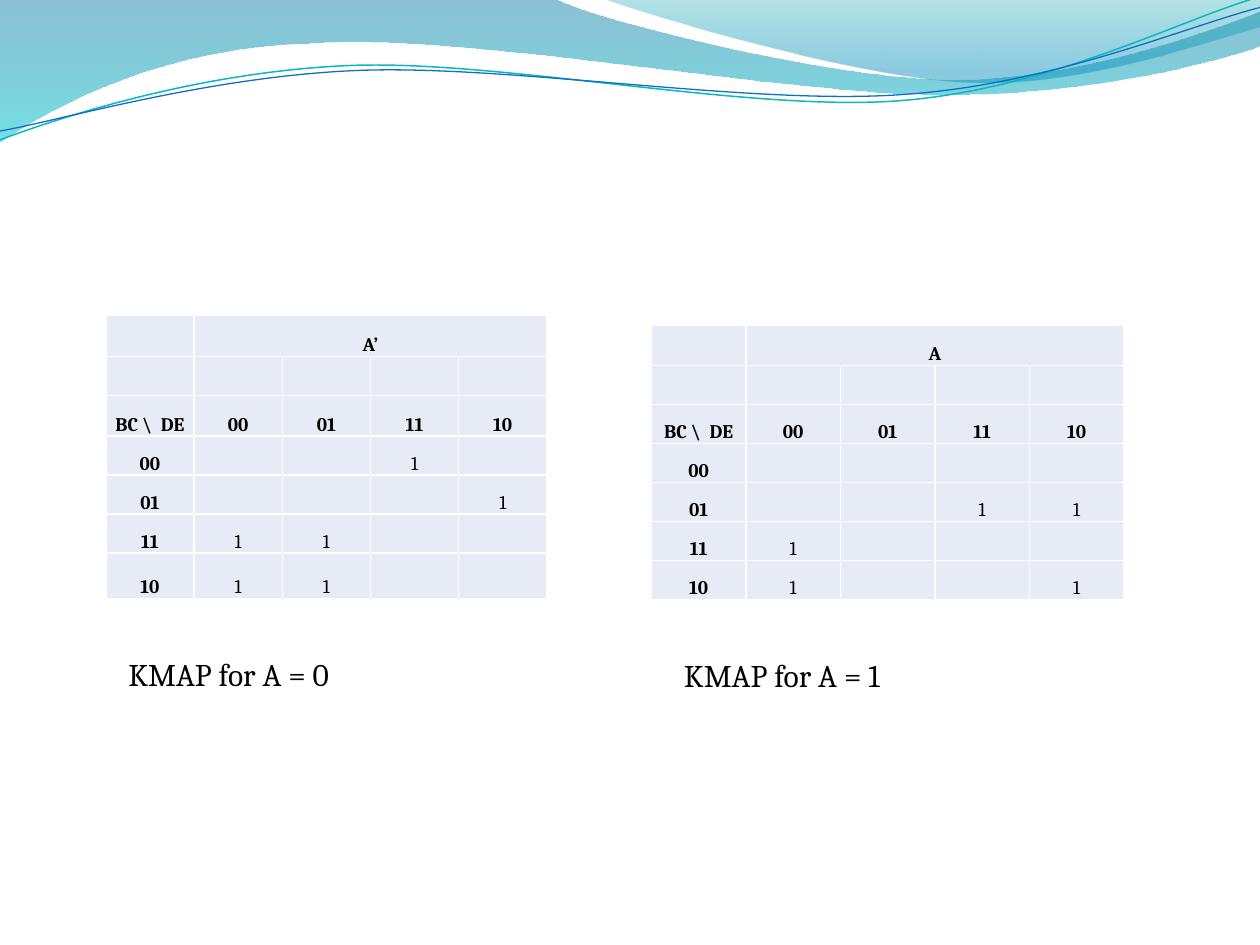
from dataclasses import dataclass
from math import cos, radians, sin
from typing import Optional

from lxml.etree import SubElement
from pptx import Presentation
from pptx.dml.color import RGBColor
from pptx.enum.text import MSO_ANCHOR as Anchor, MSO_AUTO_SIZE as AutoSize, PP_ALIGN as Align
from pptx.oxml import parse_xml
from pptx.oxml.ns import nsdecls, qn
from pptx.util import Inches, Pt

BLACK = RGBColor(0x00, 0x00, 0x00)
WHITE = RGBColor(0xFF, 0xFF, 0xFF)
CELL_FILL = RGBColor(0xE7, 0xEB, 0xF5)
TEAL_LINE = RGBColor(0x0A, 0xB8, 0xBF)
BLUE_LINE = RGBColor(0x0F, 0x6F, 0xC6)
DEEP_BLUE = RGBColor(0x00, 0x74, 0xA1)
CYAN = RGBColor(0x00, 0xC6, 0xCF)
TEAL = RGBColor(0x00, 0xA1, 0xA9)
SKY = RGBColor(0x00, 0x8B, 0xBF)

FONT = "Cambria"
GRAY_CODE = ("00", "01", "11", "10")
LINE_TILT = -2.7


@dataclass(frozen=True)
class Stop:
    position: int
    color: RGBColor
    opacity: int


@dataclass(frozen=True)
class Wave:
    start: tuple
    segments: tuple  # one point is a line, three points are a Bezier curve
    gradient: tuple = ()
    line: Optional[RGBColor] = None
    weight: float = 0
    center: tuple = (0, 0)
    tilt: float = 0


@dataclass(frozen=True)
class KMap:
    title: str
    left: float
    top: float
    column: float
    rows: tuple
    ones: frozenset  # (BC, DE) pairs
    caption: str
    caption_at: tuple


RIBBONS = (
    Wave((0, 0), (((4.4, -0.01),),
                  ((4.76, 0.17), (6.64, 0.63), (7.58, 0.63)),
                  ((8.53, 0.63), (9.58, 0.26), (10, 0.09)),
                  ((10.01, 0.36),),
                  ((9.83, 0.44), (8.7, 0.76), (7.46, 0.75)),
                  ((6.22, 0.75), (3.82, 0.28), (2.57, 0.34)),
                  ((1.29, 0.36), (0.46, 0.83), (-0.01, 1.13))),
         gradient=(Stop(0, DEEP_BLUE, 45), Stop(100, CYAN, 55))),
    Wave((4.79, -0.01), (((5.09, 0.11), (6.82, 0.62), (7.69, 0.65)),
                         ((8.56, 0.69), (9.61, 0.32), (10, 0.21)),
                         ((10, 0),)),
         gradient=(Stop(0, TEAL, 30), Stop(80, SKY, 45))),
)

STRANDS = (
    Wave((0, 1.11), (((0.48, 0.93), (1.58, 0.57), (2.77, 0.52)),
                     ((3.95, 0.47), (5.93, 0.89), (7.13, 0.8)),
                     ((8.33, 0.71), (9.38, 0.15), (9.98, -0.02))),
         line=TEAL_LINE, weight=0.85, center=(4.99, 0.58), tilt=LINE_TILT),
    Wave((0, 1.04), (((0.47, 0.96), (1.64, 0.61), (2.83, 0.56)),
                     ((4.03, 0.51), (5.97, 0.84), (7.17, 0.75)),
                     ((8.36, 0.67), (9.41, 0.21), (10, 0.06))),
         line=BLUE_LINE, weight=0.75, center=(5, 0.59), tilt=LINE_TILT),
)

KMAPS = (
    KMap("A’", 0.84, 2.5, 0.7, (0.33, 0.31, 0.32, 0.31, 0.31, 0.31, 0.36),
         frozenset({("00", "11"), ("01", "10"), ("11", "00"),
                    ("11", "01"), ("10", "00"), ("10", "01")}),
         "KMAP for A = 0", (0.92, 5.15)),
    KMap("A", 5.17, 2.58, 0.75, (0.32, *[0.31] * 6),
         frozenset({("01", "11"), ("01", "10"), ("11", "00"),
                    ("10", "00"), ("10", "10")}),
         "KMAP for A = 1", (5.33, 5.16)),
)


def set_attributes(target, values: dict) -> None:
    for key, value in values.items():
        setattr(target, key, value)


def level(wave: Wave, point: tuple) -> tuple:
    """Place a point as it lies before the wave is tilted."""
    angle = radians(-wave.tilt)
    (x, y), (cx, cy) = point, wave.center
    dx, dy = x - cx, y - cy
    return (Inches(cx + dx * cos(angle) - dy * sin(angle)),
            Inches(cy + dx * sin(angle) + dy * cos(angle)))


def bend(outline, segments: tuple) -> None:
    """Join the points of each three-point segment into one curve."""
    steps = iter(list(outline.iter(qn("a:lnTo"))))
    for segment in segments:
        parts = [next(steps) for _ in segment]
        if len(parts) == 3:
            curve = parse_xml(f'<a:cubicBezTo {nsdecls("a")}/>')
            parts[0].addprevious(curve)
            for part in parts:
                curve.append(part[0])
                part.getparent().remove(part)


def gradient_xml(stops: tuple):
    listed = "".join(
        f'<a:gs pos="{s.position * 1000}"><a:srgbClr val="{s.color}">'
        f'<a:alpha val="{s.opacity * 1000}"/></a:srgbClr></a:gs>' for s in stops)
    return parse_xml(f'<a:gradFill {nsdecls("a")}><a:gsLst>{listed}</a:gsLst>'
                     '<a:lin ang="5400000" scaled="0"/></a:gradFill>')


def draw_wave(shapes, wave: Wave) -> None:
    builder = shapes.build_freeform(*level(wave, wave.start))
    builder.add_line_segments([level(wave, point) for segment in wave.segments
                               for point in segment], close=bool(wave.gradient))
    ribbon = builder.convert_to_shape()
    ribbon.shadow.inherit = False
    ribbon.rotation = wave.tilt
    outline = ribbon.element.spPr.find(qn("a:custGeom"))
    bend(outline, wave.segments)
    if wave.gradient:
        ribbon.line.fill.background()
        outline.addnext(gradient_xml(wave.gradient))
    else:
        ribbon.fill.background()
        ribbon.line.color.rgb = wave.line
        ribbon.line.width = Pt(wave.weight)


def write(paragraph, text: str, size: float, bold: bool = False) -> None:
    run = paragraph.add_run()
    run.text = text
    set_attributes(run.font, {"name": FONT, "size": Pt(size), "bold": bold})
    run.font.color.rgb = BLACK


def format_cell(cell, text: str) -> None:
    set_attributes(cell, {
        "vertical_anchor": Anchor.BOTTOM, "margin_left": Inches(0.01),
        "margin_right": Inches(0.01), "margin_top": Inches(0.01), "margin_bottom": 0})
    cell.fill.solid()
    cell.fill.fore_color.rgb = CELL_FILL
    properties = cell._tc.get_or_add_tcPr()
    for index, side in enumerate("LRTB"):
        properties.insert(index, parse_xml(
            f'<a:ln{side} {nsdecls("a")} w="{Pt(1)}"><a:solidFill>'
            f'<a:srgbClr val="{WHITE}"/></a:solidFill></a:ln{side}>'))
    paragraph = cell.text_frame.paragraphs[0]
    paragraph.alignment = Align.CENTER
    if text:
        write(paragraph, text, 11, bold=text != "1")
    else:
        SubElement(paragraph._p, qn("a:endParaRPr"), sz="1100")


def draw_kmap(shapes, kmap: KMap) -> None:
    texts = [["", kmap.title, "", "", ""], [""] * 5, ["BC \\  DE", *GRAY_CODE]]
    texts += [[bc, *("1" if (bc, de) in kmap.ones else "" for de in GRAY_CODE)]
              for bc in GRAY_CODE]
    grid = shapes.add_table(len(texts), 5, Inches(kmap.left), Inches(kmap.top),
                            Inches(5 * kmap.column), Inches(sum(kmap.rows))).table
    set_attributes(grid, {"first_row": False, "horz_banding": False})
    for row, height, row_texts in zip(grid.rows, kmap.rows, texts):
        row.height = Inches(height)
        for cell, text in zip(row.cells, row_texts):
            format_cell(cell, text)
    grid.cell(0, 1).merge(grid.cell(0, 4))


def draw_caption(shapes, kmap: KMap) -> None:
    left, top = kmap.caption_at
    caption = shapes.add_textbox(Inches(left), Inches(top), Inches(3.5), Inches(0.4))
    set_attributes(caption.text_frame,
                   {"word_wrap": True, "auto_size": AutoSize.SHAPE_TO_FIT_TEXT})
    write(caption.text_frame.paragraphs[0], kmap.caption, 18)


presentation = Presentation()
set_attributes(presentation, {"slide_width": Inches(10), "slide_height": Inches(7.5)})
canvas = presentation.slides.add_slide(presentation.slide_layouts[6]).shapes

# Header waves
strand_group = None
for header_ribbon in RIBBONS:
    draw_wave(canvas, header_ribbon)
strand_group = canvas.add_group_shape()
for strand in STRANDS:
    draw_wave(strand_group.shapes, strand)

# Karnaugh maps, then their captions
for draw in (draw_kmap, draw_caption):
    for karnaugh_map in KMAPS:
        draw(canvas, karnaugh_map)

presentation.save("out.pptx")
